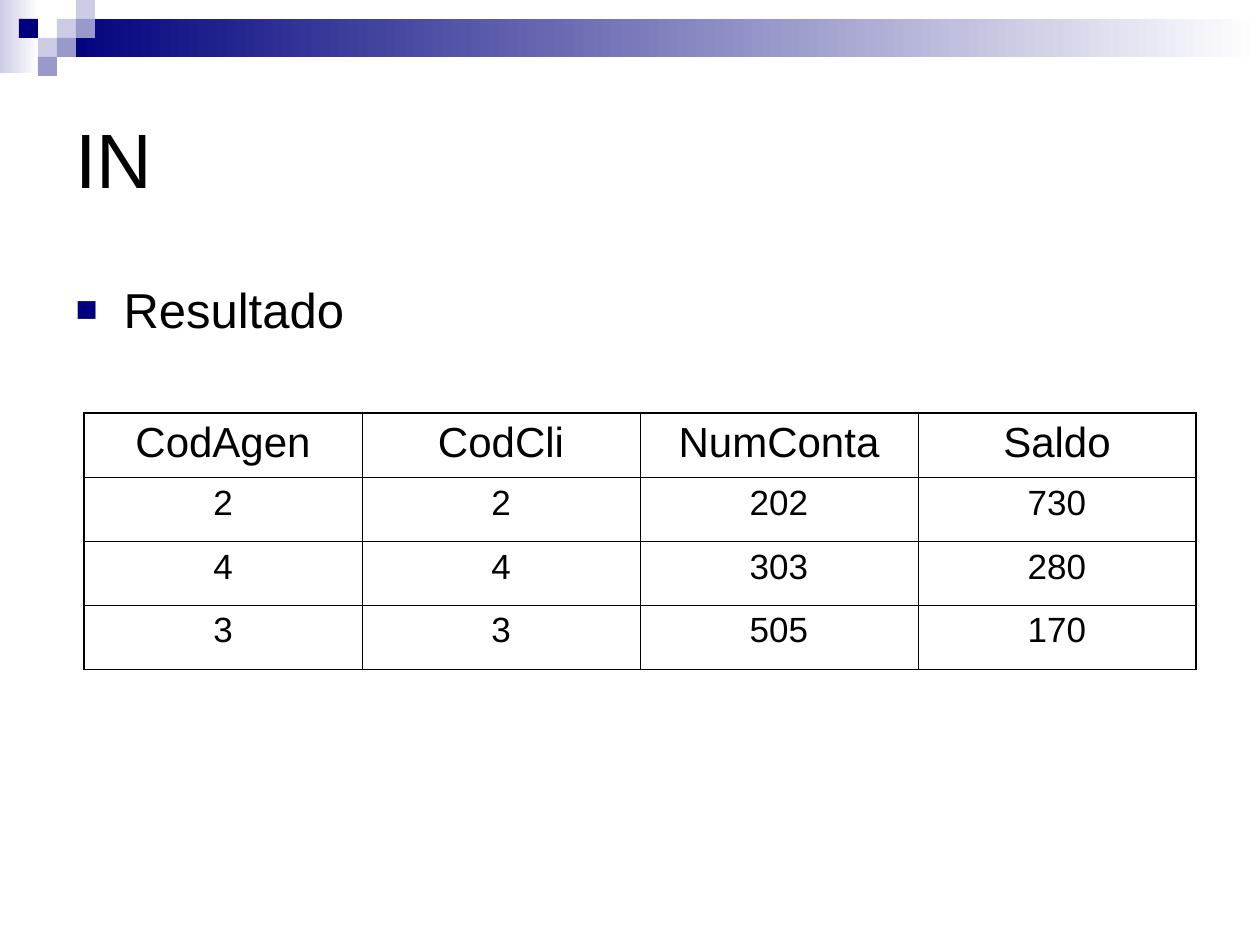
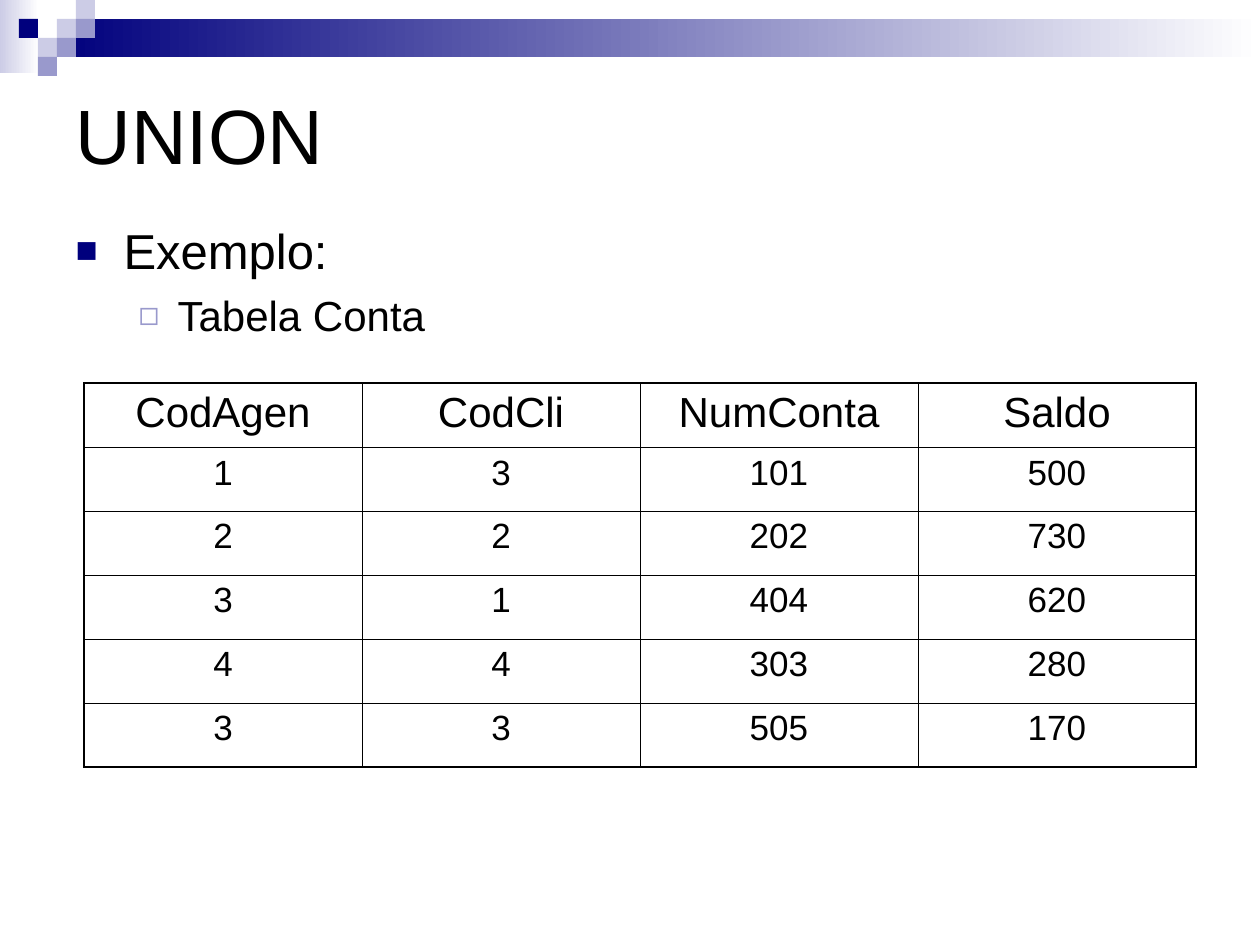
from lxml import etree
from pptx import Presentation
from pptx import util as u
from pptx.dml.color import RGBColor
from pptx.enum import shapes, text
from pptx.oxml import ns

NAVY = RGBColor(0x00, 0x00, 0x7D)
LAVENDER = RGBColor(0x99, 0x99, 0xCC)
PALE = RGBColor(0xCC, 0xCC, 0xE6)
WHITE = RGBColor(0xFF, 0xFF, 0xFF)
BLACK = RGBColor(0x00, 0x00, 0x00)

FONT = "Arial"
PX_PER_INCH = 126
SQUARE = 19
# Column, row and colour of each square in the header mosaic.
MOSAIC = [(3, 1, PALE), (4, 0, PALE), (4, 1, LAVENDER), (2, 2, PALE),
          (1, 1, NAVY), (3, 2, LAVENDER), (2, 3, LAVENDER)]

# Per list level: character, colour, size %, left margin, hanging px, font size, space before.
BULLETS = [("■", NAVY, 75, 48, 48, 28, 7), ("◻", LAVENDER, 80, 102, 39, 24, 6)]

TABLE_LEFT, COLUMN_WIDTH, ROW_HEIGHT = 84, 278, 64
THIN, THICK = 0.45, 1.08
HEADINGS = ["CodAgen", "CodCli", "NumConta", "Saldo"]
RESULT_ROWS = [(2, 2, 202, 730), (4, 4, 303, 280), (3, 3, 505, 170)]
ACCOUNT_ROWS = [(1, 3, 101, 500), (2, 2, 202, 730), (3, 1, 404, 620),
                (4, 4, 303, 280), (3, 3, 505, 170)]


def px(length):
    return u.Emu(round(length * 914400 / PX_PER_INCH))


def add_xml(parent, tag, **attributes):
    values = {name: str(value) for name, value in attributes.items()}
    return etree.SubElement(parent, ns.qn(tag), values)


def write(paragraph, content, size, align=text.PP_ALIGN.LEFT, space_before=0):
    paragraph.text = str(content)
    paragraph.alignment = align
    paragraph.space_before = u.Pt(space_before)
    paragraph.font.size = u.Pt(size)
    paragraph.font.name = FONT
    paragraph.font.color.rgb = BLACK


def place(shape, left, top, width, height):
    shape.left, shape.top = px(left), px(top)
    shape.width, shape.height = px(width), px(height)


def add_rectangle(slide, left, top, width, height, color, fade_to=None):
    shape = slide.shapes.add_shape(shapes.MSO_SHAPE.RECTANGLE,
                                   px(left), px(top), px(width), px(height))
    shape.shadow.inherit = False
    shape.line.fill.background()
    if fade_to is None:
        shape.fill.solid()
        shape.fill.fore_color.rgb = color
    else:
        shape.fill.gradient()
        shape.fill.gradient_angle = 0
        for stop, stop_color in zip(shape.fill.gradient_stops, (color, fade_to)):
            stop.color.rgb = stop_color
    return shape


def add_header(slide, layout):
    """Draw the header band on the slide, then move it to the shared layout."""
    band = [add_rectangle(slide, 0, 0, 39, 73, PALE, fade_to=WHITE),
            add_rectangle(slide, 3 * SQUARE, SQUARE, 1260 - 3 * SQUARE,
                          2 * SQUARE, NAVY, fade_to=WHITE)]
    band += [add_rectangle(slide, column * SQUARE, row * SQUARE, SQUARE, SQUARE, color)
             for column, row, color in MOSAIC]
    for placeholder in list(layout.placeholders)[2:]:
        layout.shapes.element.remove(placeholder.element)
    for shape in band:
        layout.shapes.element.append(shape.element)


def add_title(slide, title, height):
    shape = slide.shapes.title
    place(shape, 63, 63, 1134, height)
    shape.text_frame.vertical_anchor = text.MSO_ANCHOR.MIDDLE
    shape.text_frame.auto_size = text.MSO_AUTO_SIZE.NONE
    write(shape.text_frame.paragraphs[0], title, 44)


def add_list(slide, items, top, width, height):
    """Fill the body with items, each one list level deeper than the last."""
    body = slide.placeholders[1]
    place(body, 63, top, width, height)
    frame = body.text_frame
    frame.auto_size = text.MSO_AUTO_SIZE.NONE
    for level, item in enumerate(items):
        character, color, percent, margin, hanging, size, space = BULLETS[level]
        paragraph = frame.add_paragraph() if level else frame.paragraphs[0]
        paragraph.level = level
        properties = paragraph._p.get_or_add_pPr()
        properties.set("marL", str(px(margin)))
        properties.set("indent", str(px(-hanging)))
        add_xml(add_xml(properties, "a:buClr"), "a:srgbClr", val=color)
        add_xml(properties, "a:buSzPct", val=percent * 1000)
        add_xml(properties, "a:buFont", typeface=FONT)
        add_xml(properties, "a:buChar", char=character)
        write(paragraph, item, size, space_before=space if level else 0)


def set_borders(cell, **widths):
    """Set the border widths, in points, by side: L, R, T and B."""
    properties = cell._tc.get_or_add_tcPr()
    for side, width in widths.items():
        line = add_xml(properties, f"a:ln{side}", w=u.Pt(width))
        add_xml(add_xml(line, "a:solidFill"), "a:srgbClr", val=BLACK)


def add_account_table(slide, rows, top, bottom_border):
    rows = [HEADINGS, *rows]
    last_row, last_column = len(rows) - 1, len(HEADINGS) - 1
    table = slide.shapes.add_table(
        len(rows), len(HEADINGS), px(TABLE_LEFT), px(top),
        px(COLUMN_WIDTH * len(HEADINGS)), px(ROW_HEIGHT * len(rows))).table
    table.first_row = table.horz_banding = False
    for i, row in enumerate(rows):
        for j, value in enumerate(row):
            cell = table.cell(i, j)
            set_borders(cell,
                        L=THIN if j else THICK,
                        R=THICK if j == last_column else THIN,
                        T=THIN if i else THICK,
                        B=bottom_border if i == last_row else THIN)
            cell.fill.background()
            write(cell.text_frame.paragraphs[0], value, 20 if i else 24,
                  align=text.PP_ALIGN.CENTER)


def main():
    presentation = Presentation()
    presentation.slide_width, presentation.slide_height = px(1260), px(945)
    layout = presentation.slide_layouts[1]

    in_slide = presentation.slides.add_slide(layout)
    add_header(in_slide, layout)
    add_title(in_slide, "IN", height=189)
    add_list(in_slide, ["Resultado"], top=273, width=1143, height=536)
    add_account_table(in_slide, RESULT_ROWS, top=413, bottom_border=THIN)

    union_slide = presentation.slides.add_slide(layout)
    add_title(union_slide, "UNION", height=141)
    add_list(union_slide, ["Exemplo:", "Tabela Conta"], top=214, width=1004, height=704)
    add_account_table(union_slide, ACCOUNT_ROWS, top=383, bottom_border=THICK)

    presentation.save("out.pptx")


if __name__ == "__main__":
    main()
